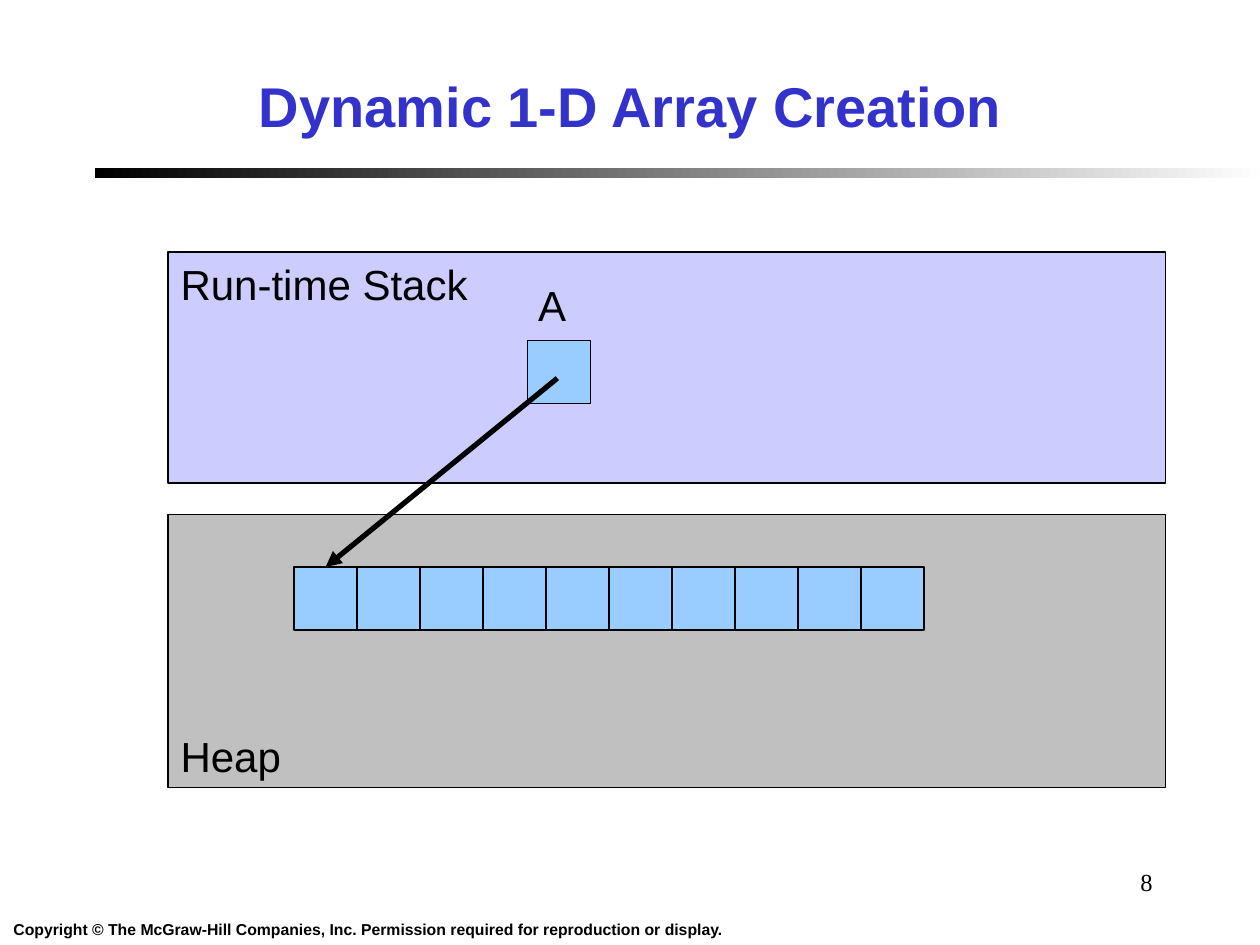
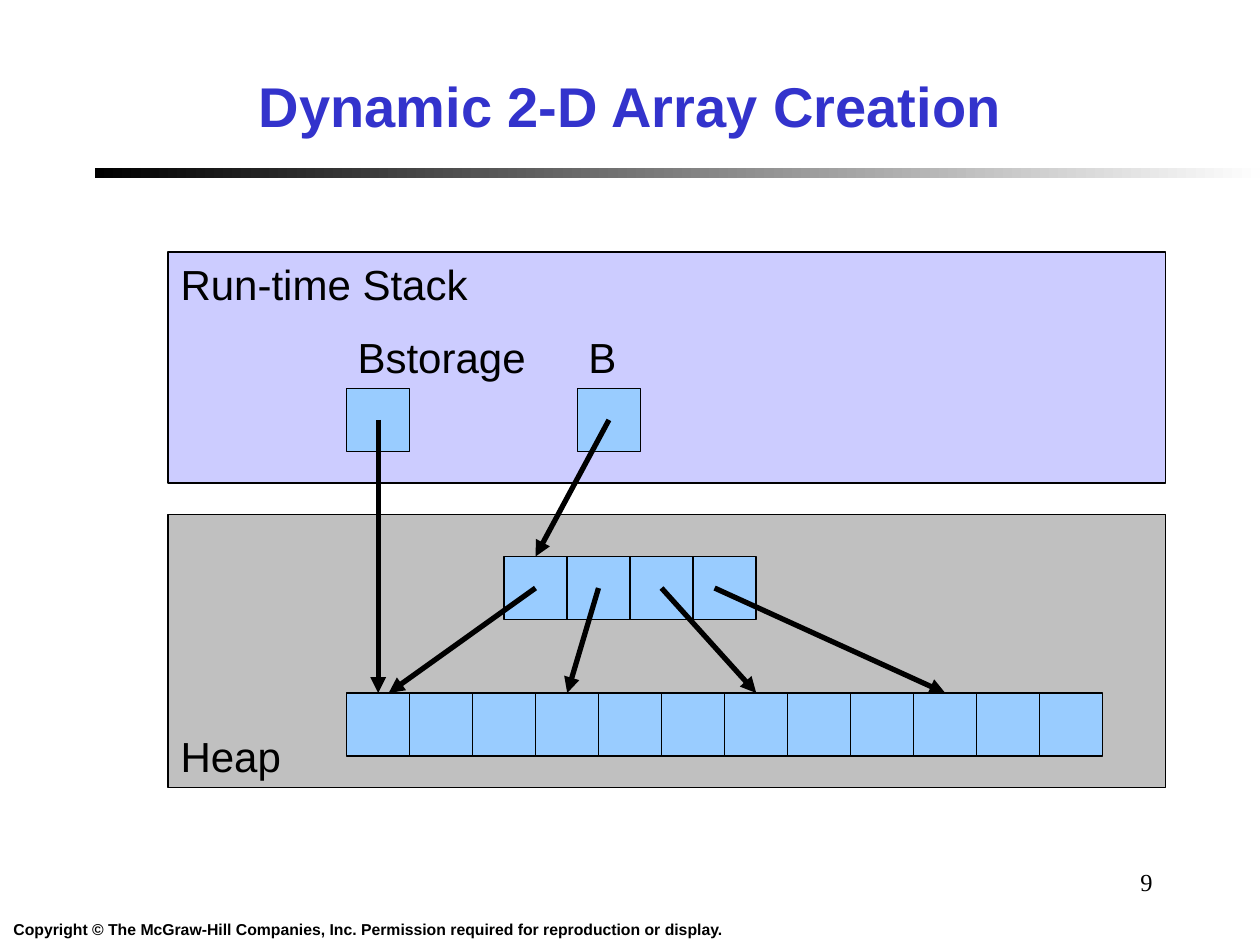
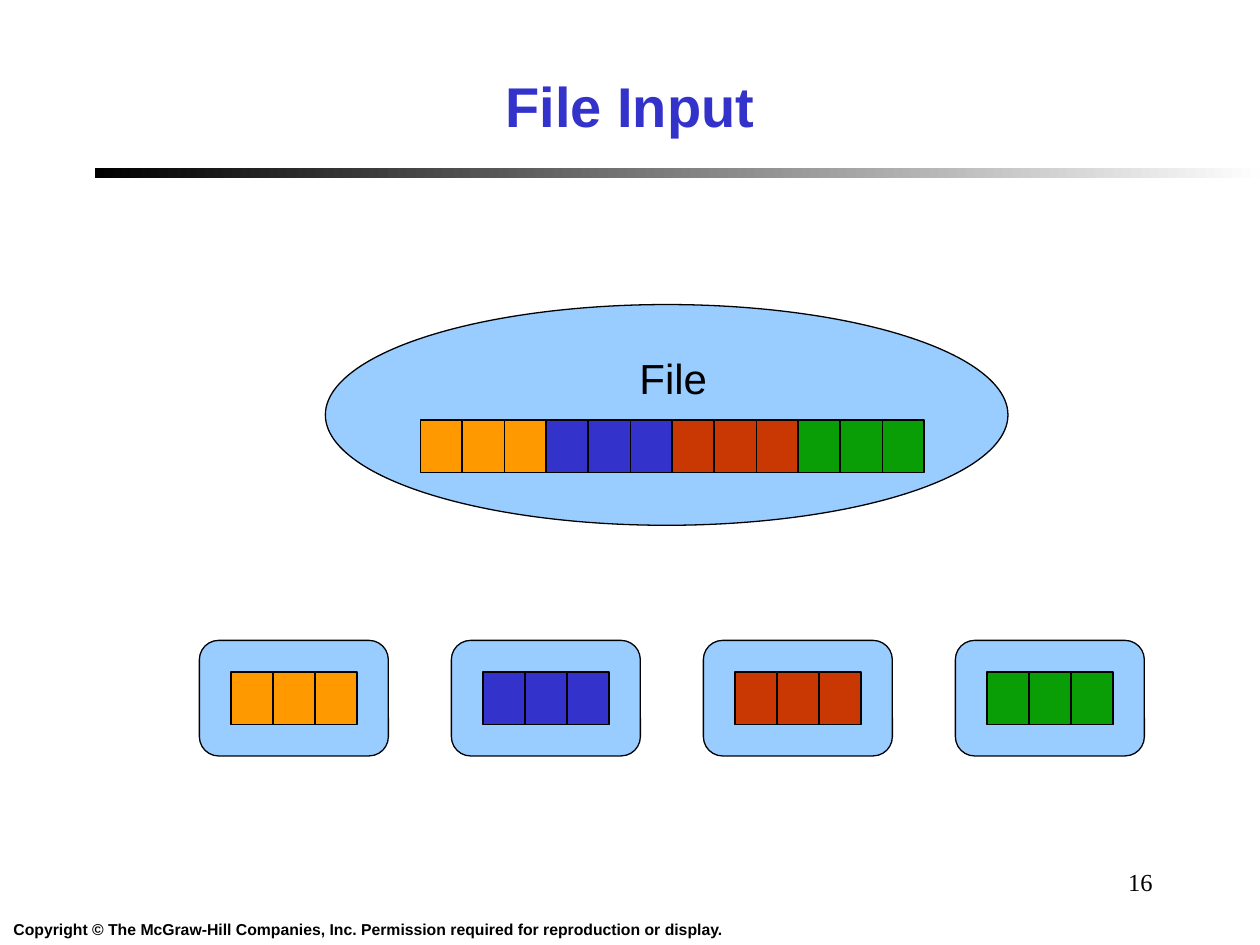
from dataclasses import dataclass

from lxml.etree import SubElement
from pptx import Presentation
from pptx.dml.color import RGBColor
from pptx.enum.shapes import MSO_CONNECTOR, MSO_SHAPE
from pptx.enum.text import MSO_ANCHOR, MSO_AUTO_SIZE, PP_ALIGN
from pptx.oxml.ns import qn
from pptx.util import Cm, Pt


@dataclass(frozen=True)
class Theme:
    title_color: str = "3333CC"
    ink: str = "000000"
    fade: str = "FEFEFE"
    stack: str = "CCCCFF"
    heap: str = "C0C0C0"
    cell: str = "99CCFF"
    records: tuple = ("FF9900", "3333CC", "C93703", "0A9E06")
    font: str = "Arial"
    number_font: str = "Times New Roman"
    title_size: float = 32
    label_size: float = 24
    number_size: float = 14
    copyright_size: float = 9
    outline: float = 0.75
    arrow: float = 3


@dataclass(frozen=True)
class Box:
    left: float
    top: float
    width: float
    height: float

    def inner(self, left, top, width, height):
        return Box(self.left + left, self.top + top, width, height)

    def lengths(self):
        return Cm(self.left), Cm(self.top), Cm(self.width), Cm(self.height)


THEME = Theme()
CELL = 1.27
RECORD_WIDTH, RECORD_HEIGHT = 2.54, 1.06
TITLE = Box(0.64, 0.85, 24.13, 2.54)
RULE = Box(1.91, 3.39, 23.49, 0.2)
COPYRIGHT = Box(0, 18.41, 14.83, 0.64)
NUMBER = Box(18.2, 17.36, 5.29, 1.27)
STACK = Box(3.39, 5.08, 20.11, 4.66)
HEAP = Box(3.39, 10.37, 20.11, 5.5)
FILE = Box(6.56, 6.14, 13.76, 4.45)
RECORDS = Box(4.02, 12.91, 19.05, 2.33)


def add_text(slide, box, text, size, color=THEME.ink, font=THEME.font, bold=False,
             align=PP_ALIGN.LEFT, anchor=MSO_ANCHOR.TOP, wrap=True):
    frame = slide.shapes.add_textbox(*box.lengths()).text_frame
    frame.word_wrap = wrap
    frame.auto_size = MSO_AUTO_SIZE.NONE if wrap else MSO_AUTO_SIZE.SHAPE_TO_FIT_TEXT
    frame.vertical_anchor = anchor
    paragraph = frame.paragraphs[0]
    paragraph.alignment = align
    run = paragraph.add_run()
    run.text = text
    run.font.name = font
    run.font.size = Pt(size)
    run.font.bold = bold
    run.font.color.rgb = RGBColor.from_string(color)


def add_label(slide, box, text):
    add_text(slide, box, text, THEME.label_size)


def add_outlined(slide, box, fill, kind=MSO_SHAPE.RECTANGLE):
    shape = slide.shapes.add_shape(kind, *box.lengths())
    shape.shadow.inherit = False
    shape.fill.solid()
    shape.fill.fore_color.rgb = RGBColor.from_string(fill)
    shape.line.color.rgb = RGBColor.from_string(THEME.ink)
    shape.line.width = Pt(THEME.outline)
    return shape


def add_cells(slide, box, count, fill=THEME.cell):
    width = box.width / count
    return [add_outlined(slide, box.inner(index * width, 0, width, box.height), fill)
            for index in range(count)]


def add_arrow(slide, source, target, start_shift=(0, 0), end_shift=0):
    connector = slide.shapes.add_connector(
        MSO_CONNECTOR.STRAIGHT,
        source.left + source.width // 2 + Cm(start_shift[0]),
        source.top + source.height // 2 + Cm(start_shift[1]),
        target.left + target.width // 2 + Cm(end_shift),
        target.top)
    if not end_shift:
        connector.end_connect(target, 0)
    connector.line.color.rgb = RGBColor.from_string(THEME.ink)
    connector.line.width = Pt(THEME.arrow)
    SubElement(connector.line._get_or_add_ln(), qn("a:tailEnd"), type="triangle")
    SubElement(connector._element.spPr, qn("a:effectLst"))


def add_rule(slide, box):
    rule = slide.shapes.add_shape(MSO_SHAPE.RECTANGLE, *box.lengths())
    rule.shadow.inherit = False
    rule.line.fill.background()
    rule.fill.gradient()
    rule.fill.gradient_angle = 0
    for stop, color in zip(rule.fill.gradient_stops, (THEME.ink, THEME.fade)):
        stop.color.rgb = RGBColor.from_string(color)


def add_base_slide(presentation, title, number):
    slide = presentation.slides.add_slide(presentation.slide_layouts[6])
    add_rule(slide, RULE)
    add_text(slide, COPYRIGHT,
             "Copyright © The McGraw-Hill Companies, Inc. Permission required for reproduction or display.",
             THEME.copyright_size, bold=True, align=PP_ALIGN.CENTER, wrap=False)
    add_text(slide, TITLE, title, THEME.title_size, THEME.title_color, bold=True,
             align=PP_ALIGN.CENTER, anchor=MSO_ANCHOR.MIDDLE)
    add_text(slide, NUMBER, str(number), THEME.number_size, font=THEME.number_font,
             align=PP_ALIGN.RIGHT)
    return slide


def add_memory(slide, stack, heap):
    add_outlined(slide, stack, THEME.stack)
    add_outlined(slide, heap, THEME.heap)
    add_label(slide, stack.inner(0, 0, 6.5, CELL), "Run-time Stack")
    add_label(slide, heap.inner(0, heap.height - CELL, 2.7, CELL), "Heap")


def add_variable(slide, box, name, label_width, label_rise=CELL):
    add_label(slide, box.inner(-0.03, -label_rise, label_width, CELL), name)
    return add_outlined(slide, box, THEME.cell)


def build_one_dimension(presentation):
    slide = add_base_slide(presentation, "Dynamic 1-D Array Creation", 8)
    add_memory(slide, STACK, HEAP)
    variable = add_variable(slide, STACK.inner(7.24, 1.78, CELL, CELL), "A", 1.3, 1.36)
    values = add_cells(slide, HEAP.inner(2.54, 1.06, 10 * CELL, CELL), 10)
    add_arrow(slide, variable, values[0], start_shift=(-0.03, 0.13))


def build_two_dimensions(presentation):
    slide = add_base_slide(presentation, "Dynamic 2-D Array Creation", 9)
    add_memory(slide, STACK, HEAP)
    storage = add_variable(slide, STACK.inner(3.6, 2.75, CELL, CELL), "Bstorage", 4.1)
    variable = add_variable(slide, STACK.inner(8.25, 2.75, CELL, CELL), "B", 1.3)
    values = add_cells(slide, HEAP.inner(3.6, 3.6, 12 * CELL, CELL), 12)
    rows = add_cells(slide, HEAP.inner(6.77, 0.85, 4 * CELL, CELL), 4)
    add_arrow(slide, storage, values[0])
    add_arrow(slide, variable, rows[0])
    start_shifts = (0, 0, 0, -0.2)
    end_shifts = (0.21, 0, 0, 0)
    for row, value, start, end in zip(rows, values[::3], start_shifts, end_shifts):
        add_arrow(slide, row, value, (start, 0), end)


def add_file(slide, box):
    add_outlined(slide, box, THEME.cell, MSO_SHAPE.OVAL)
    add_label(slide, box.inner(6.08, 0.84, 2.1, CELL), "File")
    for index, color in enumerate(THEME.records):
        add_cells(slide, box.inner(1.91 + index * RECORD_WIDTH, 2.33,
                                   RECORD_WIDTH, RECORD_HEIGHT), 3, color)


def add_records(slide, box):
    width, pitch = 3.81, 5.08
    for index, color in enumerate(THEME.records):
        card = box.inner(index * pitch, 0, width, box.height)
        add_outlined(slide, card, THEME.cell, MSO_SHAPE.ROUNDED_RECTANGLE)
        add_cells(slide, card.inner((width - RECORD_WIDTH) / 2,
                                    (box.height - RECORD_HEIGHT) / 2,
                                    RECORD_WIDTH, RECORD_HEIGHT), 3, color)


def build_file_input(presentation):
    slide = add_base_slide(presentation, "File Input", 16)
    add_file(slide, FILE)
    add_records(slide, RECORDS)


def main():
    presentation = Presentation()
    presentation.slide_width = Cm(25.4)
    presentation.slide_height = Cm(19.05)
    build_one_dimension(presentation)
    build_two_dimensions(presentation)
    build_file_input(presentation)
    presentation.save("out.pptx")


if __name__ == "__main__":
    main()
